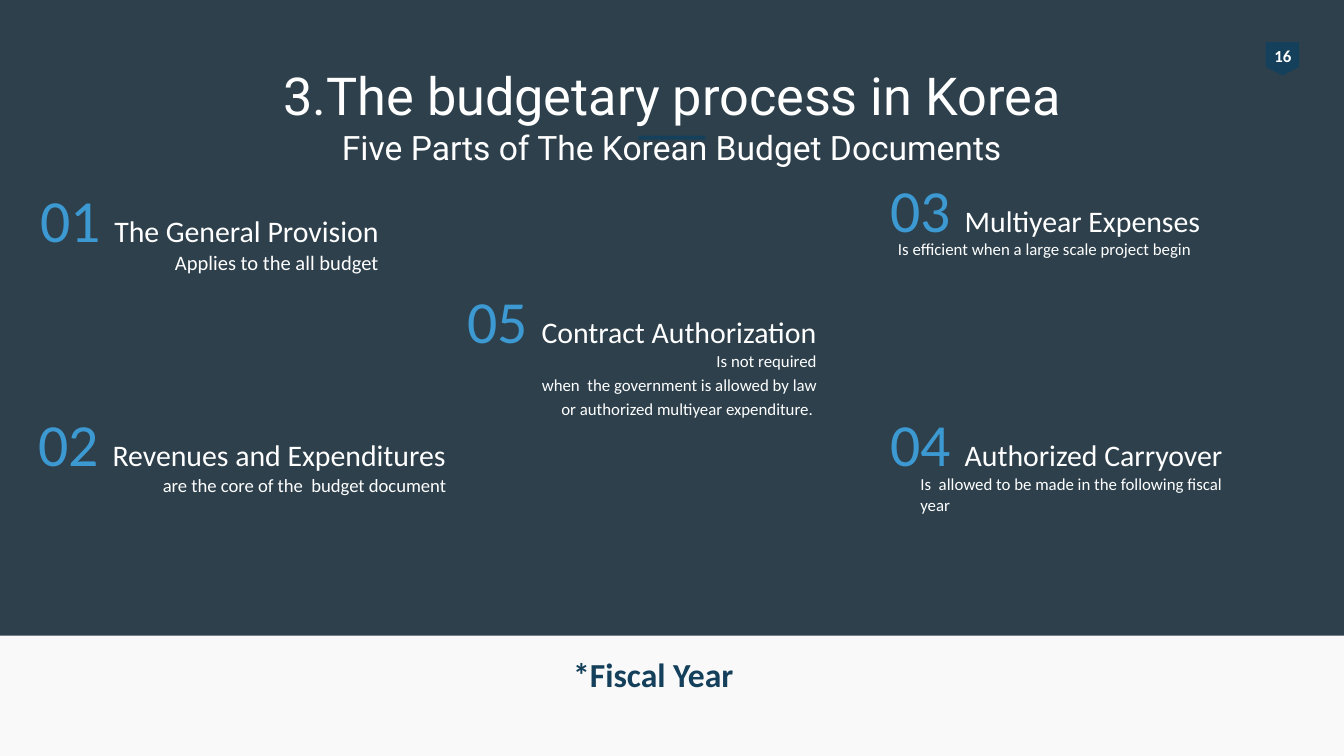
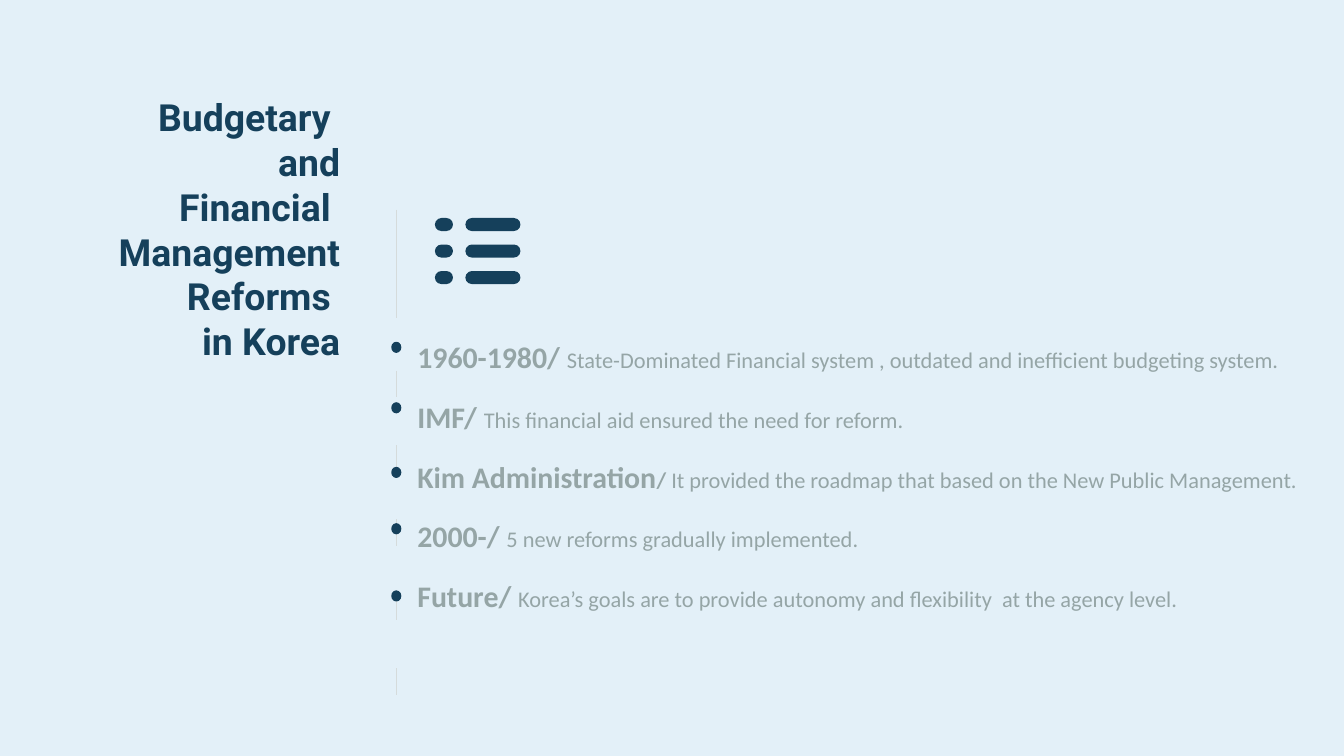
"""Build two slides on the Korean budget documents and budgetary reforms."""
from copy import deepcopy
from dataclasses import dataclass

from lxml import etree
from pptx import Presentation
from pptx import util as u
from pptx.dml.color import RGBColor
from pptx.enum import shapes, text
from pptx.oxml.ns import qn


@dataclass(frozen=True)
class Theme:
    """Colours, fonts and type sizes."""
    paper: str = "F9F9F9"
    pale: str = "E3F0F8"
    band: str = "0A202E"
    navy: str = "15405B"
    blue: str = "3D99D2"
    white: str = "FFFFFF"
    grey: str = "95A5A6"
    rule: str = "D5DBDB"
    body_font: str = "Calibri"
    title_font: str = "Roboto"
    number: int = 32
    title: int = 28
    side_title: int = 20
    subtitle: int = 18
    heading: int = 16
    body: int = 12
    small: int = 9


theme = Theme()
LEFT, CENTER, RIGHT = text.PP_ALIGN.LEFT, text.PP_ALIGN.CENTER, text.PP_ALIGN.RIGHT
MIDDLE, TOP = text.MSO_ANCHOR.MIDDLE, text.MSO_ANCHOR.TOP


def write(shape, paragraphs, font=theme.body_font, align=LEFT, anchor=TOP, wrap=True, gap=0, spacing=None):
    """Fill a shape with paragraphs, each a list of (text, size, colour, bold) runs."""
    frame = shape.text_frame
    frame.word_wrap, frame.auto_size, frame.vertical_anchor = wrap, text.MSO_AUTO_SIZE.NONE, anchor
    for index, runs in enumerate(paragraphs):
        paragraph = frame.add_paragraph() if index else frame.paragraphs[0]
        paragraph.alignment = align
        paragraph.line_spacing = spacing
        paragraph.space_before = u.Pt(gap if index else 0)
        for content, size, color, bold in runs:
            for number, line in enumerate(content.split("\n")):
                if number:
                    paragraph.add_line_break()
                    paragraph._p[-1].append(deepcopy(run._r.rPr))
                run = paragraph.add_run()
                run.text = line
                run.font.name, run.font.size, run.font.bold = font, u.Pt(size), bold
                run.font.color.rgb = RGBColor.from_string(color)


def add_block(slide, kind, box, color):
    """Add a preset shape in one plain colour."""
    shape = slide.shapes.add_shape(kind, *map(u.Pt, box))
    shape.shadow.inherit = False
    shape.fill.solid()
    shape.fill.fore_color.rgb = RGBColor.from_string(color)
    shape.line.fill.background()
    return shape


presentation = Presentation()
presentation.slide_width, presentation.slide_height = u.Pt(720), u.Pt(405)
slides = []
for color in (theme.paper, theme.pale):
    slide = presentation.slides.add_slide(presentation.slide_layouts[5])
    slide.background.fill.solid()
    slide.background.fill.fore_color.rgb = RGBColor.from_string(color)
    slides.append(slide)
parts_slide, reforms_slide = slides

band = add_block(parts_slide, shapes.MSO_SHAPE.RECTANGLE, (0, -1.5, 720, 342), theme.band)
band_color = next(band._element.iter(qn("a:srgbClr")))
etree.SubElement(band_color, qn("a:alpha"), val="85000")
badge = add_block(parts_slide, shapes.MSO_SHAPE.PENTAGON, (678, 22.5, 18, 18), theme.navy)
badge.adjustments[0] = 0.26
badge.rotation = 90
page_number = parts_slide.shapes.add_textbox(*map(u.Pt, (675.3, 21, 24, 18)))
write(page_number, [[("16", theme.small, theme.white, True)]], align=CENTER, wrap=False)
add_block(parts_slide, shapes.MSO_SHAPE.RECTANGLE, (342, 72.7, 36, 2.2), theme.navy)

title = parts_slide.shapes.title
title.left, title.top, title.width, title.height = map(u.Pt, (36, 29, 648, 65.5))
title._element.getparent().append(title._element)
write(title, [[("3.The budgetary process in Korea\n", theme.title, theme.white, False),
               ("Five Parts of The Korean Budget Documents", theme.subtitle, theme.white, False)]],
      font=theme.title_font, align=CENTER, anchor=MIDDLE)

budget_parts = [
    ("03 ", "Multiyear Expenses", (470, 89, 250, 24.5), (474, 124.5, 188, 36), LEFT, theme.small,
     ["Is efficient when a large scale project begin"]),
    ("04 ", "Authorized Carryover", (470, 214.5, 250, 24.5), (486, 250.5, 188, 36), LEFT, theme.small,
     ["Is  allowed to be made in the following fiscal year"]),
    ("01 ", "The General Provision", (-17.5, 94.5, 227.5, 24.5), (83.5, 130.5, 126.5, 36), RIGHT, 11,
     ["Applies to the all budget"]),
    ("02 ", "Revenues and Expenditures", (-6, 214.5, 252, 24.5), (64, 250.5, 182, 36), RIGHT, 10,
     ["are the core of the  budget document"]),
    ("05 ", "Contract Authorization", (224.5, 148.5, 220, 42), (271.5, 184.5, 173, 51), RIGHT, theme.small,
     ["Is not required", "when  the government is allowed by law", "or authorized multiyear expenditure. "]),
]
for number, heading, heading_box, detail_box, align, size, details in budget_parts:
    heading_shape = parts_slide.shapes.add_textbox(*map(u.Pt, heading_box))
    write(heading_shape, [[(number, theme.number, theme.blue, False),
                           (heading, theme.heading, theme.white, False)]], align=align)
    detail_shape = parts_slide.shapes.add_textbox(*map(u.Pt, detail_box))
    write(detail_shape, [[(line, size, theme.white, False)] for line in details], align=align, gap=1.8)

footnote = parts_slide.shapes.add_textbox(*map(u.Pt, (300, 346.5, 114, 29)))
write(footnote, [[("*Fiscal Year", theme.subtitle, theme.navy, True)]])

title = reforms_slide.shapes.title
title.left, title.top, title.width, title.height = map(u.Pt, (48, 46, 141.5, 153))
write(title, [[("Budgetary \nand\n Financial \nManagement Reforms \nin Korea", theme.side_title, theme.navy, True)]],
      font=theme.title_font, align=RIGHT, anchor=MIDDLE)

timeline_x = 212.3
dashes = [(112.3, 170.6)] + [(198.7 + 39.8 * step, 212.9 + 39.8 * step) for step in range(5)]
for start, end in dashes:
    dash = reforms_slide.shapes.add_connector(
        shapes.MSO_CONNECTOR.STRAIGHT, *map(u.Pt, (timeline_x, start, timeline_x, end)))
    dash.line.color.rgb = RGBColor.from_string(theme.rule)
    dash.line.width = u.Pt(0.75)
    etree.SubElement(dash._element.spPr, qn("a:effectLst"))

for top in (183.6, 216, 250.6, 280.8, 316.8):
    dot = add_block(reforms_slide, shapes.MSO_SHAPE.OVAL, (timeline_x - 2.2, top, 4.4, 5), theme.navy)
    dot.line.color.rgb = RGBColor.from_string(theme.navy)
    dot.line.width = u.Pt(1)

reforms = [
    ("1960-1980/ ", "State-Dominated Financial system , outdated and inefficient budgeting system."),
    ("IMF/ ", "This financial aid ensured the need for reform."),
    ("Kim Administration", "It provided the roadmap that based on the New Public Management."),
    ("2000-/ ", "5 new reforms gradually implemented."),
    ("Future/ ", "Korea’s goals are to provide autonomy and flexibility  at the agency level."),
]
reform_lines = [[(period, theme.heading, theme.grey, True), (detail, theme.body, theme.grey, False)]
                for period, detail in reforms]
reform_lines[2].insert(1, ("/ ", theme.body, theme.grey, True))
reform_list = reforms_slide.shapes.add_textbox(*map(u.Pt, (216.5, 168.5, 492, 168.5)))
write(reform_list, reform_lines, gap=3.2, spacing=1.5)

for row in range(3):
    for left, width in ((233, 9.7), (249.3, 29.5)):
        pill = add_block(reforms_slide, shapes.MSO_SHAPE.ROUNDED_RECTANGLE,
                         (left, 116.8 + 14.2 * row, width, 7), theme.navy)
        pill.adjustments[0] = 0.5

presentation.save("out.pptx")
